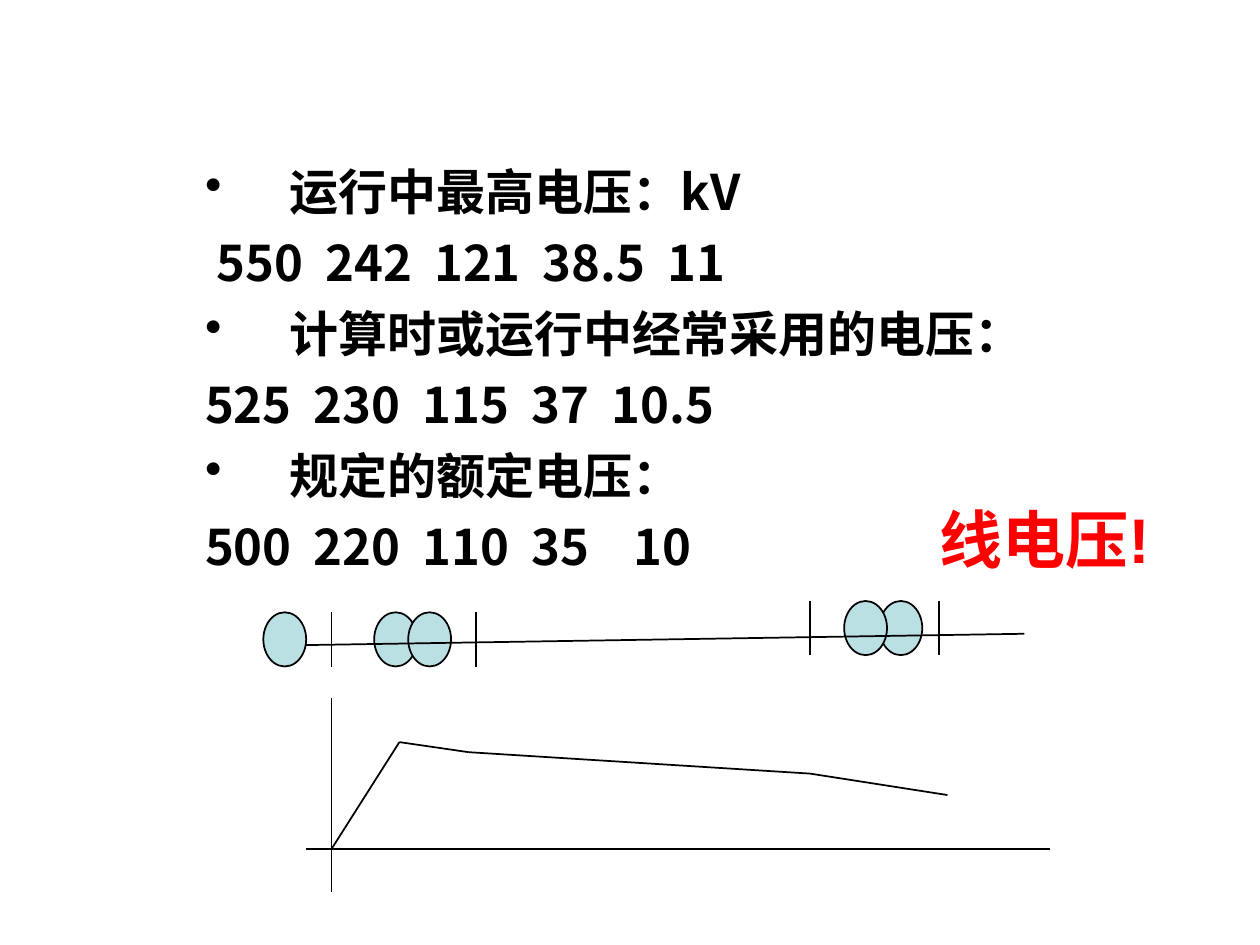
from dataclasses import dataclass
from itertools import pairwise

from lxml import etree
from pptx import Presentation
from pptx.dml.color import RGBColor
from pptx.enum import shapes, text
from pptx.oxml import ns
from pptx.util import Inches, Pt


@dataclass(frozen=True)
class Theme:
    ink: RGBColor = RGBColor(0, 0, 0)
    alert: RGBColor = RGBColor(255, 0, 0)
    machine: RGBColor = RGBColor(0xBB, 0xE0, 0xE3)
    cjk: str = "Noto Sans CJK SC"
    latin: str = "Arial"
    body_size: int = 28
    callout_size: int = 36
    body_gap: int = 7
    line_width: int = 1


THEME = Theme()
HANGING = 0.67

# Heading, voltages, left offset of the row
VOLTAGES = [
    ("运行中最高电压：kV", "550  242  121  38.5  11", 0.09),
    ("计算时或运行中经常采用的电压：", "525  230  115  37  10.5", 0),
    ("规定的额定电压：", "500  220  110  35    10", 0),
]


def add_text(paragraph, words, size, color, font, margin=0, indent=0,
             bullet=None, before=0):
    props = paragraph._p.get_or_add_pPr()
    props.set("marL", str(Inches(margin)))
    props.set("indent", str(Inches(indent)))
    if bullet:
        etree.SubElement(props, ns.qn("a:buChar"), char=bullet)
    else:
        etree.SubElement(props, ns.qn("a:buNone"))
    paragraph.space_before = Pt(before)
    run = paragraph.add_run()
    run.text = words
    run.font.size = Pt(size)
    run.font.bold = True
    run.font.name = font
    run.font.color.rgb = color
    latin = run._r.rPr.find(ns.qn("a:latin"))
    latin.addnext(etree.Element(ns.qn("a:ea"), typeface=THEME.cjk))


def add_line(slide, start, end):
    line = slide.shapes.add_connector(
        shapes.MSO_CONNECTOR.STRAIGHT, *(Inches(v) for v in (*start, *end)))
    line.line.color.rgb = THEME.ink
    line.line.width = Pt(THEME.line_width)
    etree.SubElement(line._element.spPr, ns.qn("a:effectLst"))


def add_winding(slide, left, top, width=0.34, height=0.43):
    winding = slide.shapes.add_shape(
        shapes.MSO_SHAPE.OVAL, *(Inches(v) for v in (left, top, width, height)))
    winding.shadow.inherit = False
    winding.fill.solid()
    winding.fill.fore_color.rgb = THEME.machine
    winding.line.color.rgb = THEME.ink
    winding.line.width = Pt(THEME.line_width)


def add_voltage_list(slide, left, top, width, height):
    frame = slide.shapes.add_textbox(
        *(Inches(v) for v in (left, top, width, height))).text_frame
    frame.word_wrap = True
    body = dict(size=THEME.body_size, color=THEME.ink, font=THEME.cjk)
    for number, (heading, values, offset) in enumerate(VOLTAGES):
        first = number == 0
        add_text(frame.paragraphs[0] if first else frame.add_paragraph(), heading,
                 margin=HANGING, indent=-HANGING, bullet="•",
                 before=0 if first else THEME.body_gap, **body)
        add_text(frame.add_paragraph(), values, indent=offset,
                 before=THEME.body_gap, **body)


def add_callout(slide, left, top, width, height):
    frame = slide.shapes.add_textbox(
        *(Inches(v) for v in (left, top, width, height))).text_frame
    frame.word_wrap = False
    frame.auto_size = text.MSO_AUTO_SIZE.SHAPE_TO_FIT_TEXT
    add_text(frame.paragraphs[0], "线电压!", THEME.callout_size, THEME.alert, THEME.latin)


def add_network(slide, left, top, width, height):
    """Generator, two transformers and the line that joins them."""
    bar = 0.43
    near, far = top + 0.09, top
    # Generator and transformer windings
    for x, y in [(0, near), (0.88, near), (1.15, near), (4.89, far), (4.61, far)]:
        add_winding(slide, left + x, y)
    # Busbars
    for x, y in [(0.54, near), (1.69, near), (4.34, far), (5.36, far)]:
        add_line(slide, (left + x, y), (left + x, y + bar))
    add_line(slide, (left + 0.34, top + 0.35), (left + width, top + height / 2))


def add_voltage_profile(slide, left, top, width, height):
    """Axes and the voltage curve along the network."""
    axis_x, axis_y = left + 0.2, top + 1.2
    add_line(slide, (axis_x, top), (axis_x, top + height))
    add_line(slide, (left, axis_y), (left + width, axis_y))
    curve = [(0, 0), (0.54, 0.85), (1.09, 0.77), (3.8, 0.6), (4.89, 0.43)]
    points = [(axis_x + x, axis_y - rise) for x, rise in curve]
    for start, end in pairwise(points):
        add_line(slide, start, end)


def main():
    deck = Presentation()
    deck.slide_width, deck.slide_height = Inches(10), Inches(7.5)
    slide = deck.slides.add_slide(deck.slide_layouts[6])
    add_voltage_list(slide, 1.53, 1.23, 8.24, 5.54)
    add_network(slide, 2.09, 4.77, 6.04, 0.52)
    add_voltage_profile(slide, 2.43, 5.54, 5.9, 1.54)
    add_callout(slide, 7.36, 3.92, 1.98, 0.7)
    deck.save("out.pptx")


if __name__ == "__main__":
    main()
